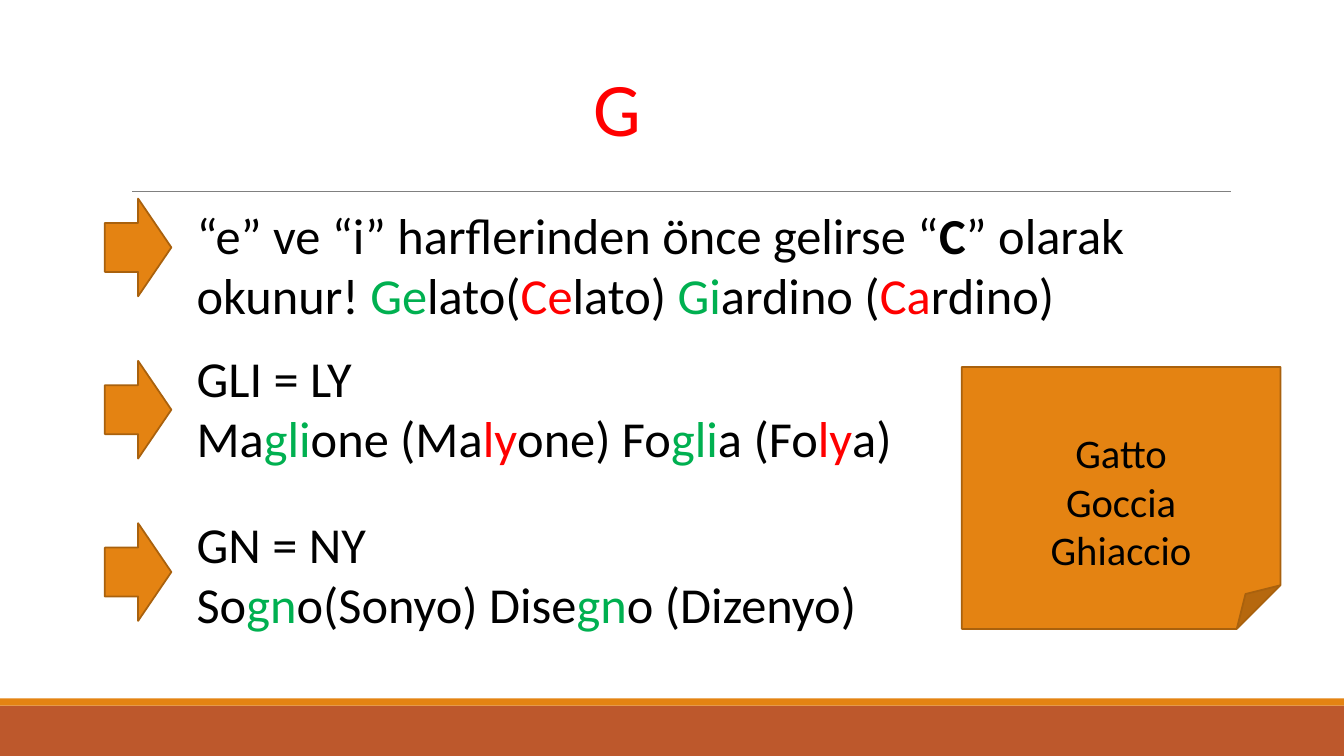
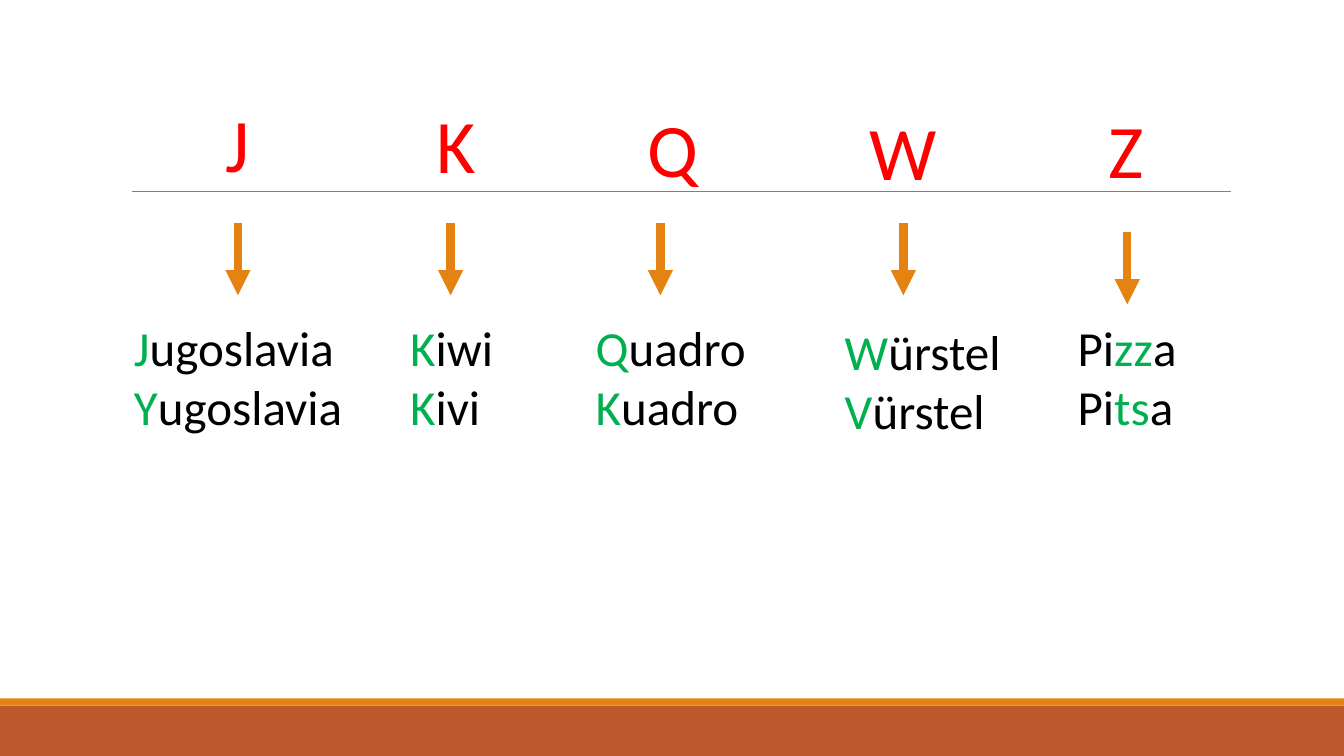
from dataclasses import dataclass

from pptx import Presentation
from pptx import util as u
from pptx.dml import color
from pptx.enum import shapes, text
from pptx.oxml import ns
from lxml import etree

COLORS = {
    "background": "FFFFFF", "band": "BD582C", "accent": "E48312",
    "outline": "A9610D", "rule": "808080",
    "black": "000000", "red": "FF0000", "green": "00B050",
}
FONT = "Calibri"
WIDTH, HEIGHT = 13.33, 7.5
TITLE_SIZE, BODY_SIZE, WORD_SIZE, NOTE_SIZE = 54, 36, 35, 29
TITLE_AND_CONTENT, BLANK = 1, 6


def rgb(name):
    return color.RGBColor.from_string(COLORS[name])


def box(left, top, width, height):
    return [u.Inches(value) for value in (left, top, width, height)]


def place(shape, bounds):
    shape.left, shape.top, shape.width, shape.height = box(*bounds)


def style_font(font, size, name="black", bold=False):
    font.name, font.size, font.bold = FONT, u.Pt(size), bold
    font.color.rgb = rgb(name)


def write_runs(paragraph, parts, size):
    """Each part is plain black text or a (text, colour) pair; colour "bold" is black bold."""
    for part in parts:
        content, style = (part, "black") if isinstance(part, str) else part
        run = paragraph.add_run()
        run.text = content
        bold = style == "bold"
        style_font(run.font, size, "black" if bold else style, bold)


def write_lines(frame, lines, size):
    """Fill a text frame, one paragraph for each list of parts."""
    for index, parts in enumerate(lines):
        paragraph = frame.paragraphs[0] if index == 0 else frame.add_paragraph()
        write_runs(paragraph, parts, size)


def add_text(slide, bounds, lines, size):
    frame = slide.shapes.add_textbox(*box(*bounds)).text_frame
    frame.word_wrap = True
    write_lines(frame, lines, size)


def add_block(slide, kind, bounds, fill, outline=None):
    shape = slide.shapes.add_shape(kind, *box(*bounds))
    shape.shadow.inherit = False
    shape.fill.solid()
    shape.fill.fore_color.rgb = rgb(fill)
    if outline:
        shape.line.color.rgb = rgb(outline)
        shape.line.width = u.Pt(1.25)
    else:
        shape.line.fill.background()
    return shape


def add_line(slide, start, end, name, weight, arrow=False):
    line = slide.shapes.add_connector(
        shapes.MSO_CONNECTOR.STRAIGHT, *[u.Inches(value) for value in start + end])
    line.line.color.rgb = rgb(name)
    line.line.width = u.Pt(weight)
    if arrow:
        outline = line.line._get_or_add_ln()
        etree.SubElement(outline, ns.qn("a:tailEnd"), type="triangle")
    etree.SubElement(line.element.spPr, ns.qn("a:effectLst"))
    return line


def decorate_master(presentation, slide):
    """Draw the bands and the rule, then move them to the master all slides share."""
    master = presentation.slide_master
    master.background.fill.solid()
    master.background.fill.fore_color.rgb = rgb("background")
    rectangle = shapes.MSO_SHAPE.RECTANGLE
    parts = [
        add_block(slide, rectangle, (0, 7, WIDTH, 0.5), "band"),
        add_block(slide, rectangle, (0, 6.93, WIDTH, 0.07), "accent"),
        add_line(slide, (1.31, 1.9), (12.21, 1.9), "rule", 0.5),
    ]
    for part in parts:
        master.shapes.element.append(part.element)


def fill_title(title, bounds, content):
    place(title, bounds)
    frame = title.text_frame
    frame.auto_size = text.MSO_AUTO_SIZE.NONE
    frame.text = content
    paragraph = frame.paragraphs[0]
    paragraph.alignment = text.PP_ALIGN.CENTER
    style_font(paragraph.runs[0].font, TITLE_SIZE, "red")


def fill_rules(body, bounds, rules, gaps):
    """Write the reading rules as one list, with a gap in points before each."""
    place(body, bounds)
    frame = body.text_frame
    frame.auto_size = text.MSO_AUTO_SIZE.NONE
    write_lines(frame, [line for rule in rules for line in rule], BODY_SIZE)
    spaces = [gap if index == 0 else 0
              for rule, gap in zip(rules, gaps) for index in range(len(rule))]
    for paragraph, space in zip(frame.paragraphs, spaces):
        paragraph.space_before = u.Pt(space)
        properties = paragraph._p.get_or_add_pPr()
        properties.set("marL", "0")
        properties.set("indent", "0")
        etree.SubElement(properties, ns.qn("a:buNone"))


def add_markers(slide, left, top, step, count):
    for index in range(count):
        add_block(slide, shapes.MSO_SHAPE.RIGHT_ARROW,
                  (left, top + index * step, 0.66, 0.97), "accent", "outline")


def add_note(slide, bounds, words):
    note = add_block(slide, shapes.MSO_SHAPE.FOLDED_CORNER, bounds, "accent", "outline")
    frame = note.text_frame
    frame.margin_top = u.Inches(0.54)
    frame.vertical_anchor = text.MSO_ANCHOR.MIDDLE
    write_lines(frame, [[word] for word in words], NOTE_SIZE)
    for paragraph in frame.paragraphs:
        paragraph.alignment = text.PP_ALIGN.CENTER


def build_g_slide(slide):
    rules = [
        [["“e” ve “i” harflerinden önce gelirse “", ("C", "bold"), "” olarak okunur! ",
          ("Ge", "green"), "lato(", ("Ce", "red"), "lato) ",
          ("Gi", "green"), "ardino (", ("Ca", "red"), "rdino)"]],
        [["GLI = LY"],
         ["Ma", ("gli", "green"), "one (Ma", ("ly", "red"), "one) Fo",
          ("gli", "green"), "a (Fo", ("ly", "red"), "a)"]],
        [["GN = NY"],
         ["So", ("gn", "green"), "o(Sonyo) Dise", ("gn", "green"), "o (Dizenyo)"]],
    ]
    fill_title(slide.shapes.title, (2.46, 0.55, 7.5, 1.01), "G ")
    fill_rules(slide.placeholders[1], (1.85, 1.97, 10.37, 4.42), rules, (0, 16, 32))
    add_markers(slide, 1.04, 1.97, 1.61, len(rules))
    add_note(slide, (9.54, 3.64, 3.16, 2.6), ["Gatto", "Goccia", "Ghiaccio"])


@dataclass
class LetterColumn:
    """A letter, its arrow and two words; offsets count from the column's left edge."""
    letter: str
    left: float
    letter_offset: float
    arrow_offset: float
    words: list
    letter_top: float
    arrow_top: float = 2.21
    words_top: float = 3.1
    width: float = 1.8


def add_letter_column(slide, column):
    add_text(slide, (column.left + column.letter_offset, column.letter_top, 0.9, 1.01),
             [[(column.letter, "red")]], TITLE_SIZE)
    arrow_left = column.left + column.arrow_offset
    add_line(slide, (arrow_left, column.arrow_top), (arrow_left, column.arrow_top + 0.72),
             "accent", 6, arrow=True)
    add_text(slide, (column.left, column.words_top, column.width, 1.28),
             column.words, WORD_SIZE)


def build_letters_slide(slide):
    columns = [
        LetterColumn("J", 1.23, 0.91, 1.13,
                     [[("J", "green"), "ugoslavia"], [("Y", "green"), "ugoslavia"]],
                     0.91, width=2.3),
        LetterColumn("K", 3.97, 0.26, 0.5,
                     [[("K", "green"), "iwi"], [("K", "green"), "ivi"]], 0.92),
        LetterColumn("Q", 5.81, 0.51, 0.74,
                     [[("Q", "green"), "uadro"], [("K", "green"), "uadro"]], 0.96),
        LetterColumn("W", 8.28, 0.25, 0.68,
                     [[("W", "green"), "ürstel"], [("V", "green"), "ürstel"]],
                     0.99, words_top=3.14),
        LetterColumn("Z", 10.59, 0.31, 0.59,
                     [["Pi", ("zz", "green"), "a"], ["Pi", ("ts", "green"), "a"]],
                     0.97, arrow_top=2.3),
    ]
    for column in columns:
        add_letter_column(slide, column)


def main():
    presentation = Presentation()
    presentation.slide_width = u.Inches(WIDTH)
    presentation.slide_height = u.Inches(HEIGHT)
    layouts = presentation.slide_layouts
    g_slide = presentation.slides.add_slide(layouts[TITLE_AND_CONTENT])
    decorate_master(presentation, g_slide)
    build_g_slide(g_slide)
    build_letters_slide(presentation.slides.add_slide(layouts[BLANK]))
    presentation.save("out.pptx")


if __name__ == "__main__":
    main()
